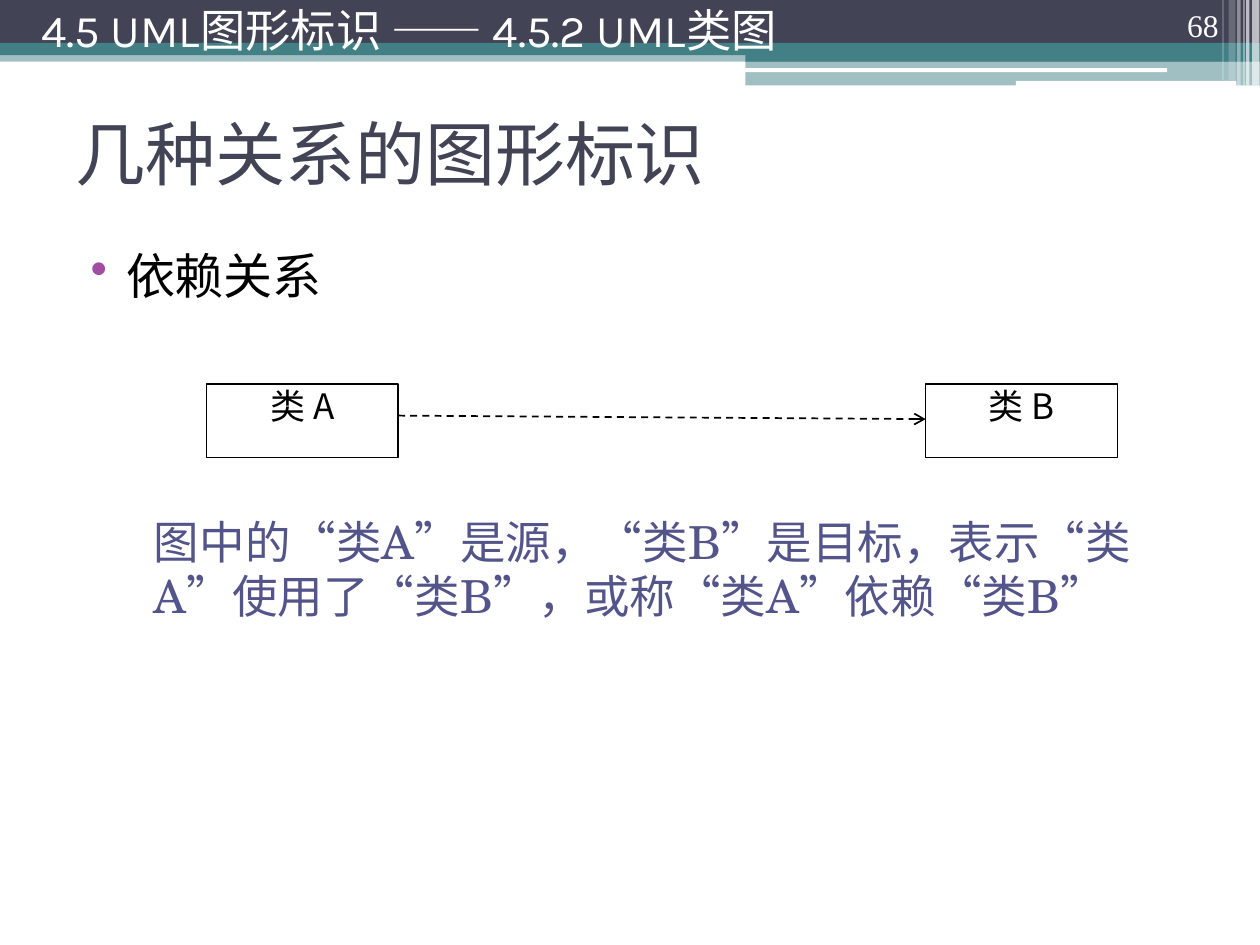
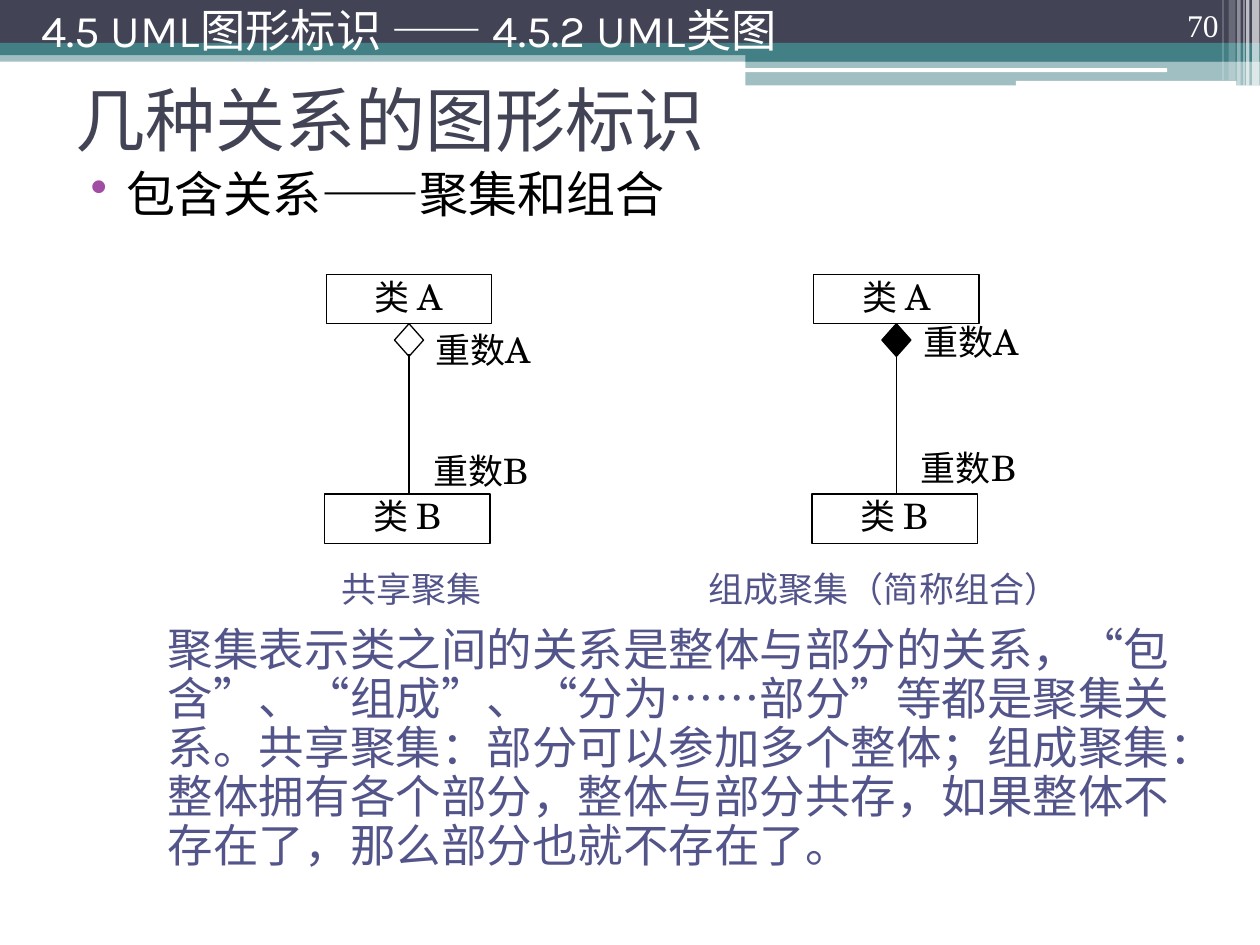
from lxml.etree import SubElement
from pptx import Presentation
from pptx.dml.color import RGBColor
from pptx.enum.dml import MSO_LINE
from pptx.enum.shapes import MSO_CONNECTOR, MSO_SHAPE
from pptx.enum.text import MSO_ANCHOR, MSO_AUTO_SIZE, PP_ALIGN
from pptx.oxml import parse_xml
from pptx.oxml.ns import nsdecls, qn
from pptx.util import Pt

COLORS = {"navy": "424456", "teal": "438086", "white": "FFFFFF",
          "black": "000000", "violet": "53548A", "bullet": "A04DA3"}
SANS, SERIF, TIMES, CHINESE = "Karla", "TeX Gyre Schola", "Times New Roman", "Noto Sans CJK SC"

HEADER = "4.5 UML图形标识 —— 4.5.2 UML类图"
TITLE = "几种关系的图形标识"

# left, top, width, height, colour, opacity in percent
BANDS = [
    (0, 28.8, 720, 6.5, "teal", 50),
    (0, 0, 720, 24.5, "navy", 100),
    (0, 24.5, 720, 7, "teal", 100),
    (426, 28, 294, 7.2, "teal", 100),
    (426, 34.9, 294, 13.9, "teal", 50),
]
RULES = [(425.5, 39, 241.5, 2.2, "white", 100), (580.5, 46.2, 126, 2.8, "white", 100)]
STRIPES = [
    (715.5, 0, 4.2, 48.8, "white", 65),
    (712, 0, 2, 48.8, "white", 65),
    (710.5, 0, 0.7, 48.8, "white", 60),
    (707, 0, 2, 48.8, "white", 40),
    (702, 0, 4, 46, "white", 20),
    (698.5, 0, 0.7, 46, "white", 30),
]

DEPENDENCY = {
    "number": "68", "title_top": 45.4, "topic": "依赖关系", "topic_top": 140.4,
    "text": "图中的“类A”是源，“类B”是目标，表示“类A”使用了“类B”，或称“类A”依赖“类B”",
    "text_at": (88, 294, 589, 62), "pitch": 31,
}
CONTAINMENT = {
    "number": "70", "title_top": 26, "topic": "包含关系——聚集和组合", "topic_top": 93.5,
    "text": "聚集表示类之间的关系是整体与部分的关系，“包含”、“组成”、“分为……部分”等都是聚集关系。"
            "共享聚集：部分可以参加多个整体；组成聚集：整体拥有各个部分，整体与部分共存，"
            "如果整体不存在了，那么部分也就不存在了。",
    "text_at": (96, 358, 581, 140), "pitch": 28,
}
CLASS_BOXES = [("类 A", 118), ("类 B", 529)]
# caption, caption left, diagram left, diamond fill, tops of the two multiplicities
AGGREGATIONS = [
    ("共享聚集", 195, 186.5, None, (187.2, 256.3)),
    ("组成聚集（简称组合）", 405, 465, "black", (182.9, 254.9)),
]


def color(name):
    return RGBColor.from_string(COLORS[name])


def points(*lengths):
    return [Pt(length) for length in lengths]


def write(shape, text, size, ink, font, align=PP_ALIGN.LEFT, anchor=MSO_ANCHOR.TOP,
          insets=(0, 0), wrap=True):
    """Put one formatted paragraph in a shape; insets are horizontal and vertical."""
    frame = shape.text_frame
    frame.auto_size = MSO_AUTO_SIZE.NONE
    frame.word_wrap = wrap
    frame.vertical_anchor = anchor
    frame.margin_left = frame.margin_right = Pt(insets[0])
    frame.margin_top = frame.margin_bottom = Pt(insets[1])
    para = frame.paragraphs[0]
    para.text = text
    para.alignment = align
    para.font.size = Pt(size)
    para.font.color.rgb = color(ink)
    para.font.name = font
    SubElement(para.font._rPr, qn("a:ea"), typeface=CHINESE)
    return para


def add_text(page, box, *args, **options):
    return write(page.shapes.add_textbox(*points(*box)), *args, **options)


def add_block(page, kind, box, fill=None, opacity=100, outlined=False):
    shape = page.shapes.add_shape(kind, *points(*box))
    shape.shadow.inherit = False
    if fill:
        shape.fill.solid()
        shape.fill.fore_color.rgb = color(fill)
        if opacity < 100:
            tint = shape.fill._xPr.find(qn("a:solidFill"))[0]
            SubElement(tint, qn("a:alpha"), val=str(opacity * 1000))
    else:
        shape.fill.background()
    if outlined:
        shape.line.color.rgb = color("black")
        shape.line.width = Pt(0.75)
    else:
        shape.line.fill.background()
    return shape


def add_line(page, start, end, width=0.75):
    line = page.shapes.add_connector(MSO_CONNECTOR.STRAIGHT, *points(*start, *end))
    line.line.color.rgb = color("black")
    line.line.width = Pt(width)
    SubElement(line._element.spPr, qn("a:effectLst"))
    return line


def add_class(page, name, box, font):
    shape = add_block(page, MSO_SHAPE.RECTANGLE, box, outlined=True)
    write(shape, name, 20, "black", font, PP_ALIGN.CENTER, insets=(7.2, 0.5))


def decorate_layout(page, layout):
    """Draw the top bands and move them to the layout that all pages share."""
    groups = [(MSO_SHAPE.RECTANGLE, BANDS), (MSO_SHAPE.ROUNDED_RECTANGLE, RULES),
              (MSO_SHAPE.RECTANGLE, STRIPES)]
    for kind, parts in groups:
        for *box, fill, opacity in parts:
            shape = add_block(page, kind, box, fill, opacity)
            layout.shapes._spTree.append(shape._element)


def add_frame(page, content):
    """Add title, topic, explanation, page number and header."""
    title = page.shapes.title
    title.left, title.top, title.width, title.height = points(36, content["title_top"], 648, 84)
    write(title, TITLE, 40, "navy", SANS, anchor=MSO_ANCHOR.MIDDLE, insets=(7.2, 3.6))

    topic = add_text(page, (51.8, content["topic_top"], 625, 41), content["topic"],
                     28, "black", SERIF)
    settings = topic._p.get_or_add_pPr()
    settings.set("marL", str(Pt(20.2)))
    settings.set("indent", str(-Pt(20.2)))
    settings.insert(0, parse_xml(f'<a:buChar {nsdecls("a")} char="•"/>'))
    settings.insert(0, parse_xml(
        f'<a:buClr {nsdecls("a")}><a:srgbClr val="{COLORS["bullet"]}"/></a:buClr>'))

    text = add_text(page, content["text_at"], content["text"], 26, "violet", SERIF)
    text.line_spacing = Pt(content["pitch"])

    add_text(page, (643.5, 0, 60, 28.8), content["number"], 18, "white", TIMES,
             PP_ALIGN.RIGHT, MSO_ANCHOR.BOTTOM, insets=(7.2, 3.6))
    add_text(page, (16.5, 0, 512, 33.8), HEADER, 25.9, "white", SANS,
             anchor=MSO_ANCHOR.MIDDLE, insets=(7.2, 3.6))


def draw_dependency(page):
    top, width, height = 219.5, 109.5, 42
    for name, left in CLASS_BOXES:
        add_class(page, name, (left, top, width, height), CHINESE)
    source, target = (left for _, left in CLASS_BOXES)
    arrow = add_line(page, (source + width, 237.5), (target, 239.5), 1)
    arrow.line.dash_style = MSO_LINE.DASH
    SubElement(arrow.line._get_or_add_ln(), qn("a:tailEnd"), type="arrow")


def draw_aggregation(page, caption, caption_left, left, fill, label_tops):
    width, height = 94.5, 28.3
    middle = left + width / 2
    add_class(page, "类 A", (left, 156.7, width, height), SERIF)
    add_class(page, "类 B", (left - 1, 282.3, width, height), SERIF)
    add_block(page, MSO_SHAPE.DIAMOND, (middle - 8.3, 185, 16.6, 18.7), fill, outlined=True)
    add_line(page, (middle, 202.3), (middle, 281.5))
    for label, label_left, top in zip(("重数A", "重数B"), (55.5, 54.2), label_tops):
        add_text(page, (left + label_left, top, 94.5, 30), label, 20, "black", SERIF,
                 PP_ALIGN.JUSTIFY, insets=(7.2, 0.5))
    add_text(page, (caption_left, 324.4, 210, 29), caption, 20, "violet", SERIF, wrap=False)


def main():
    deck = Presentation()
    deck.slide_width, deck.slide_height = points(720, 540)
    layout = deck.slide_layouts[5]
    pages = []
    for content in (DEPENDENCY, CONTAINMENT):
        page = deck.slides.add_slide(layout)
        add_frame(page, content)
        pages.append(page)
    decorate_layout(pages[0], layout)
    draw_dependency(pages[0])
    for aggregation in AGGREGATIONS:
        draw_aggregation(pages[1], *aggregation)
    deck.save("out.pptx")


if __name__ == "__main__":
    main()
